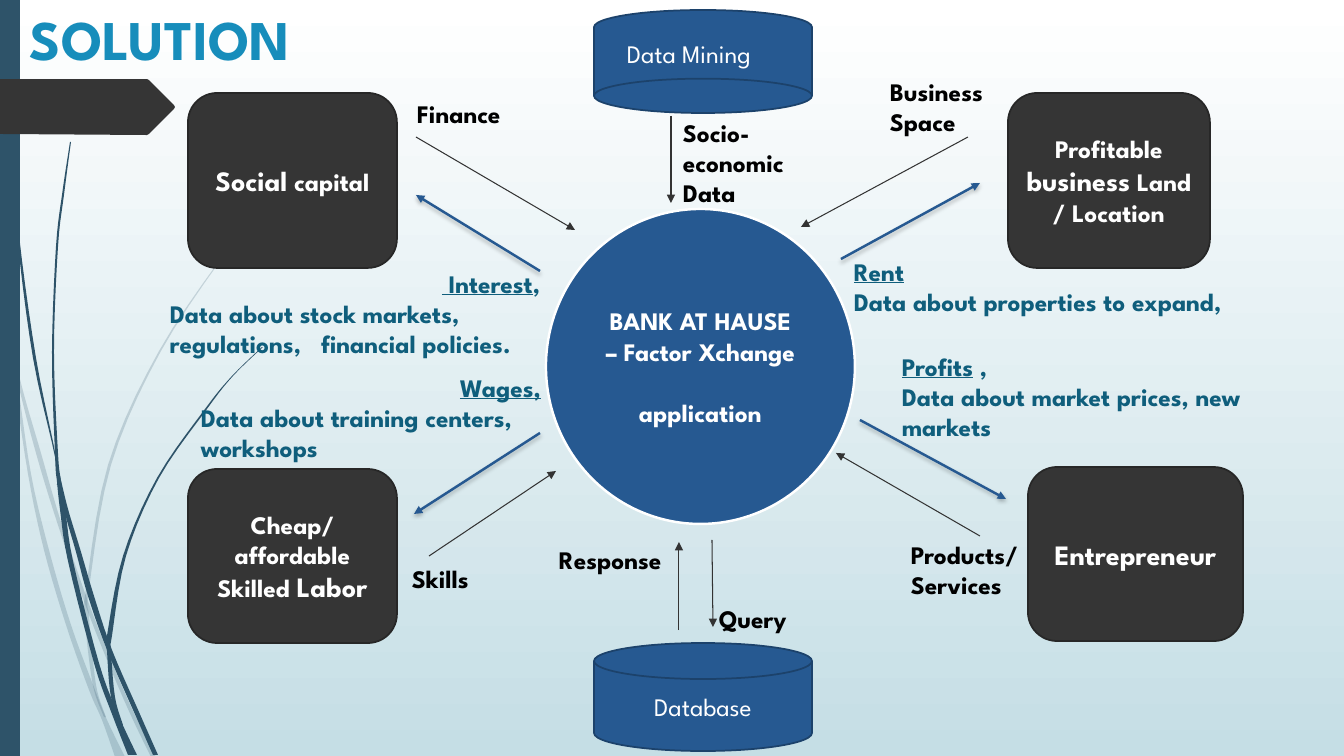
import lxml.etree
import pptx
import pptx.dml.color
import pptx.enum.shapes
import pptx.enum.text
import pptx.oxml
import pptx.util

PX = 12192000 / 1344
FONT = "League Spartan"
NAVY, DARK, BLUE, TEAL, WHITE, BLACK = "2E5369", "353535", "265991", "0F5E7C", "FFFFFF", "000000"
NS = 'xmlns:a="http://schemas.openxmlformats.org/drawingml/2006/main"'
SHAPE = pptx.enum.shapes.MSO_SHAPE
ALIGN = pptx.enum.text.PP_ALIGN
ANCHOR = pptx.enum.text.MSO_ANCHOR


def rgb(code):
    """Turn a hex string into a colour."""
    return pptx.dml.color.RGBColor.from_string(code)


def write(frame, paragraphs, color, bold=True):
    """Fill a text frame with paragraphs of (alignment, space before, runs)."""
    frame.word_wrap = True
    for index, (align, before, runs) in enumerate(paragraphs):
        para = frame.add_paragraph() if index else frame.paragraphs[0]
        para.alignment = align
        para.space_before = pptx.util.Pt(before)
        for text, size, underline in runs:
            span = para.add_run()
            span.text = text
            span.font.name = FONT
            span.font.size = pptx.util.Pt(size)
            span.font.bold = bold
            span.font.underline = underline
            span.font.color.rgb = rgb(color)


deck = pptx.Presentation()
deck.slide_width, deck.slide_height = round(1344 * PX), round(756 * PX)
slide = deck.slides.add_slide(deck.slide_layouts[6])
backdrop = slide.background.fill
backdrop.gradient()
backdrop.gradient_angle = 270
for stop, color, position in zip(backdrop.gradient_stops, (WHITE, "C5DEE5"), (0, 1)):
    stop.color.rgb = rgb(color)
    stop.position = position

# Grass blades: rows of (y, left edge, right edge), smoothed down one side and up the other
pale_blades = [
    [(284, 0, 0), (301, 0, 4), (379, 17, 20), (453, 36, 41), (525, 58, 62), (612, 88, 92),
     (700, 124, 128), (757, 151, 156)],
    [(353, 11, 11), (379, 14, 17), (474, 28, 31), (550, 44, 49), (625, 66, 71), (690, 89, 95),
     (720, 102, 107), (757, 115, 125)],
    [(154, 314, 315), (198, 270, 271), (246, 230, 231), (351, 159, 161), (465, 108, 111),
     (589, 86, 89), (615, 85, 89), (651, 88, 92), (690, 94, 97), (717, 104, 106)],
]
dark_blades = [
    [(0, 3, 4), (110, 7, 8), (235, 17, 19), (358, 33, 36), (457, 55, 56), (485, 57, 58)],
    [(476, 60, 60), (509, 64, 68), (552, 76, 81), (596, 88, 94), (650, 107, 112),
     (712, 134, 139), (755, 153, 158)],
    [(481, 57, 57), (509, 60, 65), (561, 68, 73), (663, 94, 99), (714, 112, 118), (755, 128, 137)],
    [(142, 70, 71), (195, 62, 64), (247, 56, 58), (352, 52, 54), (453, 55, 58), (481, 57, 61),
     (509, 63, 65)],
    [(347, 262, 263), (376, 232, 233), (409, 205, 207), (478, 157, 159), (556, 123, 126),
     (636, 107, 112), (650, 107, 111), (697, 111, 115), (725, 122, 123)],
]
outlines = []
for rows, opacity in [(b, 20) for b in pale_blades] + [(b, 100) for b in dark_blades]:
    outline = []
    for edge, direction in ((1, 1), (2, -1)):
        knots = [(row[edge], row[0]) for row in rows][::direction]
        padded = [knots[0]] + knots + [knots[-1]]
        for a, b, c, d in zip(padded, padded[1:], padded[2:], padded[3:]):
            for t in (0, 0.2, 0.4, 0.6, 0.8):
                outline.append([(2 * q + (r - p) * t + (2 * p - 5 * q + 4 * r - s) * t ** 2
                                 + (3 * q - p - 3 * r + s) * t ** 3) / 2
                                for p, q, r, s in zip(a, b, c, d)])
        outline.append(knots[-1])
    outlines.append((outline, NAVY, opacity))
outlines.append(([(0, 0), (20, 0), (20, 756), (0, 756)], NAVY, 100))
outlines.append(([(0, 79), (147, 79), (149, 80), (174, 105), (175, 107), (174, 109),
                  (149, 134), (147, 135), (0, 134)], DARK, 100))
for outline, color, opacity in outlines:
    points = [(x * PX, y * PX) for x, y in outline]
    builder = slide.shapes.build_freeform(*points[0])
    builder.add_line_segments(points[1:])
    blade = builder.convert_to_shape()
    blade.shadow.inherit = False
    blade.fill.solid()
    blade.fill.fore_color.rgb = rgb(color)
    blade.line.fill.background()
    if opacity < 100:
        tint = blade.fill._xPr.find(".//{*}srgbClr")
        tint.append(pptx.oxml.parse_xml(f'<a:alpha {NS} val="{opacity * 1000}"/>'))

# Actors, hub and data stores
center = ALIGN.CENTER
card = (SHAPE.ROUNDED_RECTANGLE, DARK, "272727", 1.25, True)
disk = (SHAPE.FLOWCHART_MAGNETIC_DISK, BLUE, "1C426B", 1.25, False)
hub = (SHAPE.OVAL, BLUE, WHITE, 1.75, True)
nodes = [
    (card, (188, 93, 209, 175), [(center, 0, [("Social", 20, False), (" capital", 18, False)])]),
    (card, (1008, 93, 202, 175), [(center, 0, [("Profitable ", 18, False), ("business", 20, False),
                                               (" Land / Location", 18, False)])]),
    (card, (188, 469, 209, 174), [(center, 0, [("Cheap/ affordable Skilled ", 18, False),
                                               ("Labor", 20, False)])]),
    (card, (1028, 467, 215, 174), [(center, 0, [("Entrepreneur", 20, False)])]),
    (hub, (546, 209, 309, 315), [(center, 0, [("BANK AT HAUSE – Factor Xchange", 18, False)]),
                                 (center, 22, [("application", 18, False)])]),
    (disk, (594, 643, 218, 108), [(center, 0, [("Database", 18, False)])]),
    (disk, (594, 10, 218, 103), []),
]
for (kind, fill, line, width, bold), place, paragraphs in nodes:
    node = slide.shapes.add_shape(kind, *[round(v * PX) for v in place])
    node.shadow.inherit = False
    node.fill.solid()
    node.fill.fore_color.rgb = rgb(fill)
    node.line.color.rgb = rgb(line)
    node.line.width = pptx.util.Pt(width)
    node.text_frame.vertical_anchor = ANCHOR.MIDDLE
    write(node.text_frame, paragraphs, WHITE, bold)
    if not paragraphs:
        node.element.spPr.xfrm.set("flipV", "1")

# Thin arrows carry inputs, blue arrows carry returns
inputs = [(416, 137, 575, 230), (968, 137, 801, 227), (429, 556, 556, 471), (980, 536, 836, 453),
          (712, 540, 713, 627), (679, 630, 679, 542), (671, 116, 671, 203)]
returns = [(540, 271, 416, 195), (841, 259, 980, 183), (540, 433, 414, 514), (860, 420, 1006, 499)]
SHADOW = ('<a:outerShdw blurRad="38100" dist="25400" dir="5400000" rotWithShape="0">'
          '<a:srgbClr val="000000"><a:alpha val="25000"/></a:srgbClr></a:outerShdw>')
for routes, color, width, effect in ((inputs, "333333", 0.75, ""), (returns, BLUE, 1.75, SHADOW)):
    for route in routes:
        arrow = slide.shapes.add_connector(pptx.enum.shapes.MSO_CONNECTOR.STRAIGHT,
                                           *[round(v * PX) for v in route])
        arrow.line.color.rgb = rgb(color)
        arrow.line.width = pptx.util.Pt(width)
        arrow.line._get_or_add_ln().append(pptx.oxml.parse_xml(f'<a:tailEnd {NS} type="triangle"/>'))
        arrow._element.spPr.append(pptx.oxml.parse_xml(f'<a:effectLst {NS}>{effect}</a:effectLst>'))

# Labels: one plain run each
labels = [
    ("SOLUTION", (20, 0, 983, 74), 40, "178DBB", True),
    ("Finance", (407, 93, 119, 40), 18, BLACK, True),
    ("Business Space", (880, 71, 138, 72), 18, BLACK, True),
    ("Skills", (402, 558, 81, 40), 18, BLACK, True),
    ("Products/ Services", (901, 534, 152, 72), 18, BLACK, True),
    ("Socio-economic Data", (673, 112, 153, 102), 18, BLACK, True),
    ("Response", (549, 539, 144, 40), 18, BLACK, True),
    ("Query", (709, 598, 98, 40), 18, BLACK, True),
    ("Data Mining", (617, 33, 176, 40), 18, WHITE, False),
]
for text, place, size, color, bold in labels:
    box = slide.shapes.add_textbox(*[round(v * PX) for v in place])
    write(box.text_frame, [(ALIGN.LEFT, 0, [(text, size, False)])], color, bold)

# Returns: underlined reward above the data that comes with it
rewards = [
    ((160, 263, 390, 102), ALIGN.RIGHT, " Interest", ",",
     "Data about stock markets, regulations, \tfinancial policies."),
    ((844, 251, 491, 72), ALIGN.LEFT, "Rent", "", "Data about properties to expand,"),
    ((191, 367, 360, 102), ALIGN.RIGHT, "Wages,", "", "Data about training centers, workshops"),
    ((892, 346, 449, 102), ALIGN.LEFT, "Profits", " ,", "Data about market prices, new markets"),
]
for place, align, reward, ending, detail in rewards:
    box = slide.shapes.add_textbox(*[round(v * PX) for v in place])
    heading = [(reward, 18, True)] + ([(ending, 18, False)] if ending else [])
    write(box.text_frame, [(align, 0, heading), (ALIGN.LEFT, 0, [(detail, 18, False)])], TEAL)

deck.save("out.pptx")
